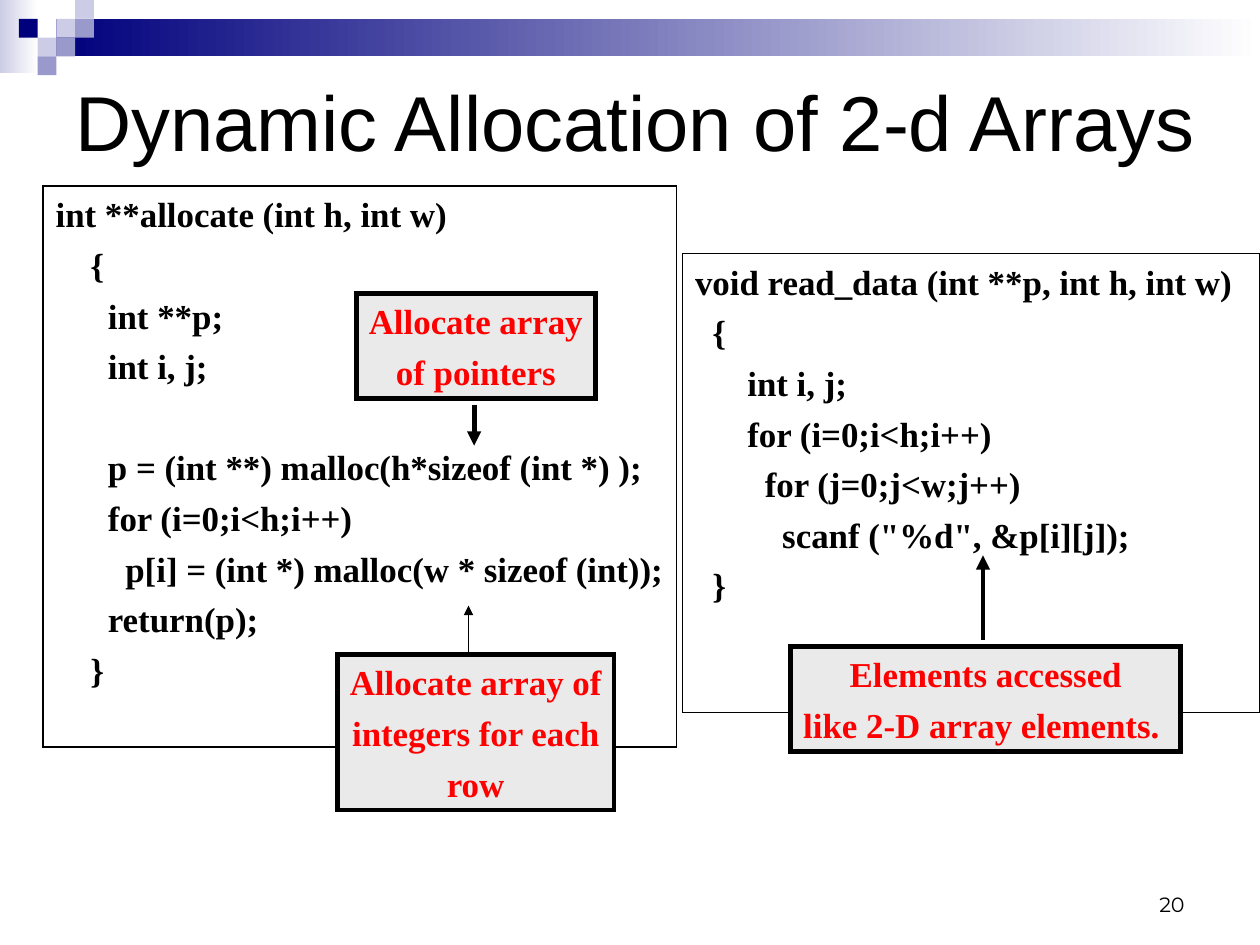
import lxml.etree
import pptx
import pptx.dml.color
import pptx.enum.shapes
import pptx.enum.text
import pptx.oxml.ns
import pptx.util

RGB = pptx.dml.color.RGBColor
ALIGN = pptx.enum.text.PP_ALIGN
ANCHOR = pptx.enum.text.MSO_ANCHOR
RECT = pptx.enum.shapes.MSO_SHAPE.RECTANGLE
STRAIGHT = pptx.enum.shapes.MSO_CONNECTOR.STRAIGHT
Pt = pptx.util.Pt
qn = pptx.oxml.ns.qn

NAVY, MID, LIGHT = RGB(0, 0, 0x7D), RGB(0x99, 0x99, 0xCC), RGB(0xCC, 0xCC, 0xE6)
BLACK, WHITE = RGB(0, 0, 0), RGB(255, 255, 255)
RED, GREY = RGB(255, 0, 0), RGB(0xEA, 0xEA, 0xEA)

# Content: boxes are left, top, width, height in percent of the slide
TITLE = ((4.99, 6.65, 92.65, 12.09), ["Dynamic Allocation of 2-d Arrays"])
PAGE = ((71.69, 91.05, 23.32, 6.65), ["20"])
PANELS = [
    ((3.42, 19.71, 50.27, 59.37), [
        "int **allocate (int h, int w)",
        "    {",
        "      int **p;",
        "      int i, j;",
        "",
        "      p = (int **) malloc(h*sizeof (int *) );",
        "      for (i=0;i<h;i++)",
        "        p[i] = (int *) malloc(w * sizeof (int));",
        "      return(p);",
        "    }"]),
    ((54.17, 26.82, 45.83, 48.61), [
        "void read_data (int **p, int h, int w)",
        "  {",
        "      int i, j;",
        "      for (i=0;i<h;i++)",
        "        for (j=0;j<w;j++)",
        '          scanf ("%d", &p[i][j]);',
        "  }"]),
]
CALLOUTS = [
    ((28.28, 31.08, 18.97, 11.12), ["Allocate array", "of pointers"]),
    ((26.77, 69.29, 21.96, 16.44), ["Allocate array of", "integers for each", "row"]),
    ((62.76, 68.44, 30.94, 11.12), ["Elements accessed", "like 2-D array elements. "]),
]
# x, start y, end y in percent; line width in points
ARROWS = [(37.63, 42.81, 47.16, 3), (78.02, 67.71, 58.77, 3), (37.18, 69.17, 64.09, 0.75)]
# Corner mosaic: column, row, colour
SQUARES = [(3, 1, LIGHT), (4, 0, LIGHT), (4, 1, MID), (2, 2, LIGHT),
           (1, 1, NAVY), (3, 2, MID), (2, 3, MID)]

TITLE_FONT = dict(name="Arial", size=Pt(49), bold=False)
PAGE_FONT = dict(name="Montserrat", size=Pt(13), bold=False)
CODE_FONT = dict(name="Times New Roman", size=Pt(22), bold=True)
GAP, LINE = 5.5, 26.3  # space between code lines and height of a line, points

prs = pptx.Presentation()
prs.slide_width, prs.slide_height = pptx.util.Cm(28), pptx.util.Cm(21)
W, H = prs.slide_width, prs.slide_height
CELL = W / 67
slide = prs.slides.add_slide(prs.slide_layouts[6])
shapes = slide.shapes


def place(box):
    x, y, w, h = box
    return [int(v / 100) for v in (x * W, y * H, w * W, h * H)]


def add_rect(lengths, fill=None, line=None):
    sp = shapes.add_shape(RECT, *(int(v) for v in lengths))
    sp.shadow.inherit = False
    if fill is None:
        sp.fill.background()
    else:
        sp.fill.solid()
        sp.fill.fore_color.rgb = fill
    if line is None:
        sp.line.fill.background()
    else:
        sp.line.color.rgb, sp.line.width = BLACK, Pt(line)
        lxml.etree.SubElement(sp.line._get_or_add_ln(), qn("a:miter"), lim="800000")
    return sp


def add_fade(lengths, start):
    sp = add_rect(lengths)
    sp.fill.gradient()
    sp.fill.gradient_angle = 0
    for stop, position, colour in zip(sp.fill.gradient_stops, (0, 1), (start, WHITE)):
        stop.position, stop.color.rgb = position, colour


def write(sp, lines, font, colour=BLACK, align=ALIGN.LEFT, anchor=ANCHOR.MIDDLE,
          wrap=True, right=0.11):
    tf = sp.text_frame
    inch = pptx.util.Inches
    frame = dict(word_wrap=wrap, vertical_anchor=anchor, margin_left=inch(0.11),
                 margin_right=inch(right), margin_top=inch(0.06), margin_bottom=inch(0.06))
    for key, value in frame.items():
        setattr(tf, key, value)
    p, space = tf.paragraphs[0], 0
    for i, text in enumerate(lines):
        if not text:  # an empty code line becomes extra space
            space += LINE + GAP
            continue
        if i:
            p = tf.add_paragraph()
        p.alignment, p.space_before = align, Pt(space)
        r = p.add_run()
        r.text = text
        r.font.color.rgb = colour
        for key, value in font.items():
            setattr(r.font, key, value)
        space = GAP


# Header band and mosaic
add_fade((0, 0, 2 * CELL, 3.9 * CELL), LIGHT)
add_fade((3 * CELL, CELL, W - 3 * CELL, 2 * CELL), NAVY)
for col, row, colour in SQUARES:
    add_rect((col * CELL, row * CELL, CELL, CELL), colour)

# Page number and title
write(shapes.add_textbox(*place(PAGE[0])), PAGE[1], PAGE_FONT,
      align=ALIGN.RIGHT, anchor=ANCHOR.BOTTOM)
write(shapes.add_textbox(*place(TITLE[0])), TITLE[1], TITLE_FONT)

# Code panels
for box, lines in PANELS:
    write(add_rect(place(box), line=1), lines, CODE_FONT, anchor=ANCHOR.TOP, right=0)

# Callouts
for box, lines in CALLOUTS:
    write(add_rect(place(box), GREY, 3), lines, CODE_FONT, RED, ALIGN.CENTER, wrap=False)

# Arrows
for x, start, end, width in ARROWS:
    x, start, end = int(x * W / 100), int(start * H / 100), int(end * H / 100)
    cx = shapes.add_connector(STRAIGHT, x, start, x, end)
    cx.line.color.rgb, cx.line.width = BLACK, Pt(width)
    lxml.etree.SubElement(cx.line._get_or_add_ln(), qn("a:tailEnd"), type="triangle")
    lxml.etree.SubElement(cx._element.spPr, qn("a:effectLst"))

prs.save("out.pptx")
